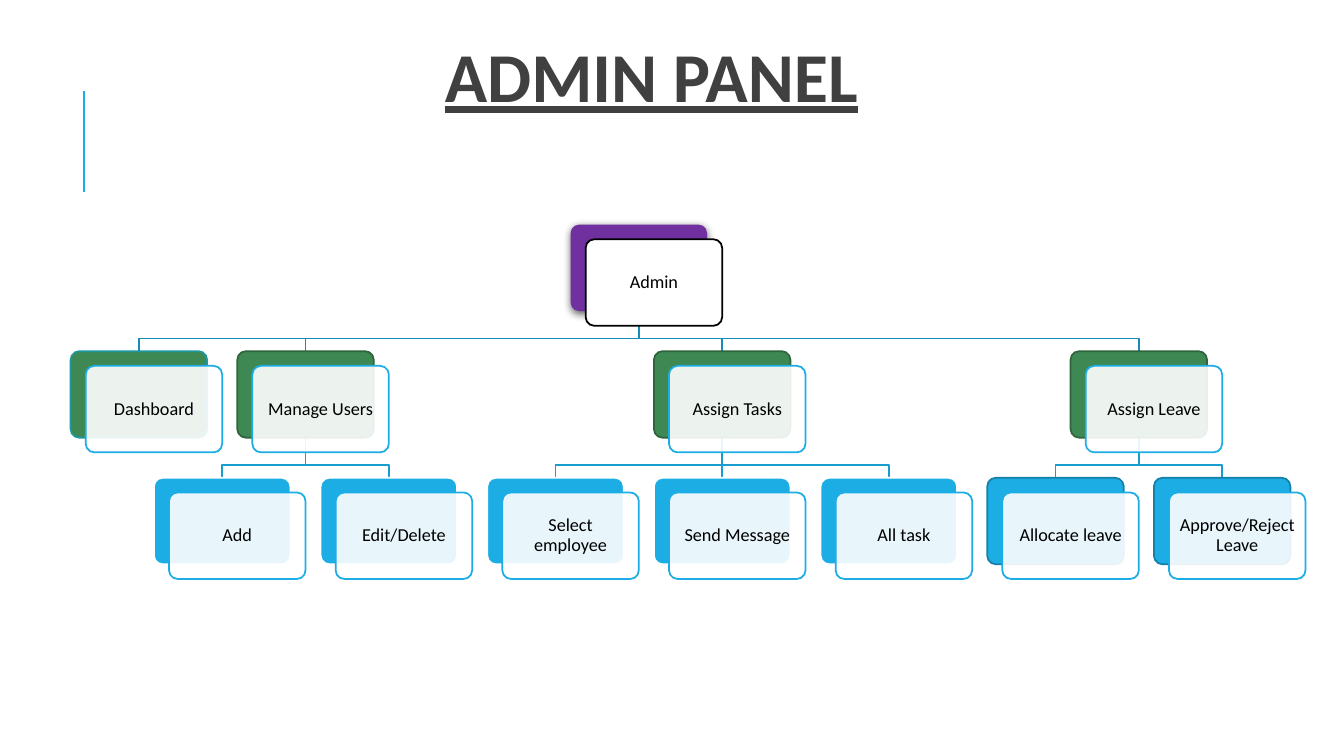
from dataclasses import dataclass

from lxml.etree import SubElement
from pptx import Presentation
from pptx.dml.color import RGBColor
from pptx.enum.dml import MSO_PATTERN
from pptx.enum.shapes import MSO_CONNECTOR, MSO_SHAPE
from pptx.enum.text import MSO_ANCHOR, PP_ALIGN
from pptx.oxml.ns import qn
from pptx.util import Cm, Pt


@dataclass(frozen=True)
class Theme:
    """Colours, type sizes and line widths of the slide."""
    font: str = "Calibri"
    head: int = 50
    label: int = 13
    thin: float = 1.25
    rule: float = 1.5
    ink: str = "000000"
    paper: str = "FFFFFF"
    dark: str = "404040"
    grey: str = "808080"
    blue: str = "1CADE4"
    navy: str = "1580A9"
    purple: str = "7030A0"
    green: str = "3E8853"
    moss: str = "2E653D"
    teal: str = "1D989F"
    links: tuple = ("168BB7", "199DCF")


@dataclass(frozen=True)
class Box:
    """A region in centimetres."""
    left: float
    top: float
    width: float
    height: float

    def place(self):
        """Return the region as lengths."""
        return [Cm(n) for n in (self.left, self.top, self.width, self.height)]


@dataclass
class Node:
    """A card of the chart; a parent sits midway over its outer kids."""
    text: str
    fill: str
    edge: str = ""
    kids: tuple = ()
    slot: float = 0

    def __post_init__(self):
        """Centre a parent over its kids."""
        if self.kids:
            self.slot = (self.kids[0].slot + self.kids[-1].slot) / 2


THEME = Theme()
CARD_W, CARD_H = 3.44, 2.18
PITCH, STEP = 4.2, 3.19
SHIFT_X, SHIFT_Y = 0.38, 0.37
DROP = 0.69


def rgb(code):
    """Turn a hex code into a colour."""
    return RGBColor.from_string(code)


def ink_line(line, code, width):
    """Set the colour and width of a line."""
    line.color.rgb = rgb(code)
    line.width = Pt(width)


def add_line(slide, start, end, code, width):
    """Draw a straight line without a shadow."""
    ends = [Cm(n) for n in (*start, *end)]
    line = slide.shapes.add_connector(MSO_CONNECTOR.STRAIGHT, *ends)
    ink_line(line.line, code, width)
    SubElement(line._element.spPr, qn("a:effectLst"))


def add_link(slide, start, end, code):
    """Join a parent to a kid with a bent or straight line."""
    if abs(start[0] - end[0]) < 0.01:
        add_line(slide, start, end, code, THEME.thin)
        return
    bend = start[1] + DROP
    path = [start, (start[0], bend), (end[0], bend), end]
    spots = [(Cm(x), Cm(y)) for x, y in path]
    build = slide.shapes.build_freeform(*spots[0])
    build.add_line_segments(spots[1:], close=False)
    link = build.convert_to_shape()
    link.shadow.inherit = False
    link.fill.background()
    ink_line(link.line, code, THEME.thin)


def add_panel(slide, box, fill, edge):
    """Draw one rounded panel."""
    panel = slide.shapes.add_shape(MSO_SHAPE.ROUNDED_RECTANGLE, *box.place())
    panel.adjustments[0] = 0.1
    panel.shadow.inherit = False
    panel.fill.solid()
    panel.fill.fore_color.rgb = rgb(fill)
    if edge:
        ink_line(panel.line, edge, THEME.thin)
    else:
        panel.line.fill.background()
    return panel


def add_shade(shape):
    """Give a shape a soft shadow below it."""
    list_ = shape._element.spPr.find(qn("a:effectLst"))
    shade = SubElement(list_, qn("a:outerShdw"), blurRad=str(Pt(6)),
                       dist=str(Pt(2)), dir="5400000", rotWithShape="0")
    tint = SubElement(shade, qn("a:srgbClr"), val=THEME.ink)
    SubElement(tint, qn("a:alpha"), val="60000")


def set_text(shape, text, size, space):
    """Write one centred line of text and return its font."""
    frame = shape.text_frame
    frame.text = text
    frame.word_wrap = True
    frame.vertical_anchor = MSO_ANCHOR.MIDDLE
    para = frame.paragraphs[0]
    para.alignment = PP_ALIGN.CENTER
    para.line_spacing = space
    font = para.runs[0].font
    font.name, font.size = THEME.font, Pt(size)
    return font


def add_card(slide, box, node, top):
    """Draw a back panel and the labelled panel in front of it."""
    back = add_panel(slide, box, node.fill, node.edge)
    shift = Box(box.left + SHIFT_X, box.top + SHIFT_Y, box.width, box.height)
    front = add_panel(slide, shift, THEME.paper, THEME.ink if top else THEME.blue)
    if top:
        add_shade(back)
    else:
        tint = front._element.spPr.find(qn("a:solidFill"))[0]
        SubElement(tint, qn("a:alpha"), val="90000")
    frame = front.text_frame
    frame.margin_left = frame.margin_right = Cm(0.2)
    frame.margin_top = frame.margin_bottom = Cm(0.2)
    set_text(front, node.text, THEME.label, 0.9).color.rgb = rgb(THEME.ink)


def add_head(slide, box):
    """Write the title."""
    head = slide.shapes.add_textbox(*box.place())
    font = set_text(head, "ADMIN PANEL", THEME.head, 0.8)
    font.bold = font.underline = True
    font.fill.patterned()
    font.fill.pattern = MSO_PATTERN.DARK_UPWARD_DIAGONAL
    font.fill.fore_color.rgb = rgb(THEME.grey)
    font.fill.back_color.rgb = rgb(THEME.dark)


def add_tree(slide, box, root):
    """Draw the links of the chart, then its cards."""
    def spot(node, level):
        """Find the box of a card."""
        return Box(box.left + node.slot * PITCH, box.top + level * STEP, CARD_W, CARD_H)

    def walk(node, level=0):
        """List every node with its level."""
        yield node, level
        for kid in node.kids:
            yield from walk(kid, level + 1)

    for node, level in walk(root):
        here = spot(node, level)
        start = (here.left + CARD_W / 2, here.top + CARD_H)
        for kid in node.kids:
            there = spot(kid, level + 1)
            add_link(slide, start, (there.left + CARD_W / 2, there.top), THEME.links[level])
    for node, level in walk(root):
        add_card(slide, spot(node, level), node, level == 0)


def leaves(first, edge, *names):
    """Make a row of leaf cards from a first slot."""
    return tuple(Node(name, THEME.blue, edge, slot=first + i) for i, name in enumerate(names))


def main():
    """Build and save the slide."""
    deck = Presentation()
    deck.slide_width, deck.slide_height = Cm(33.87), Cm(19.05)
    slide = deck.slides.add_slide(deck.slide_layouts[6])
    add_line(slide, (2.12, 4.83), (2.12, 2.29), THEME.blue, THEME.rule)
    add_head(slide, Box(2.92, 0, 27, 4.17))
    users = leaves(0.5, THEME.paper, "Add", "Edit/Delete")
    tasks = leaves(2.5, THEME.paper, "Select employee", "Send Message", "All task")
    leave = leaves(5.5, THEME.navy, "Allocate leave", "Approve/Reject Leave")
    root = Node("Admin", THEME.purple, kids=(
        Node("Dashboard", THEME.green, THEME.teal),
        Node("Manage Users", THEME.green, THEME.moss, users),
        Node("Assign Tasks", THEME.green, THEME.moss, tasks),
        Node("Assign Leave", THEME.green, THEME.moss, leave),
    ))
    add_tree(slide, Box(1.78, 5.66, 31.4, 9), root)
    deck.save("out.pptx")


main()
